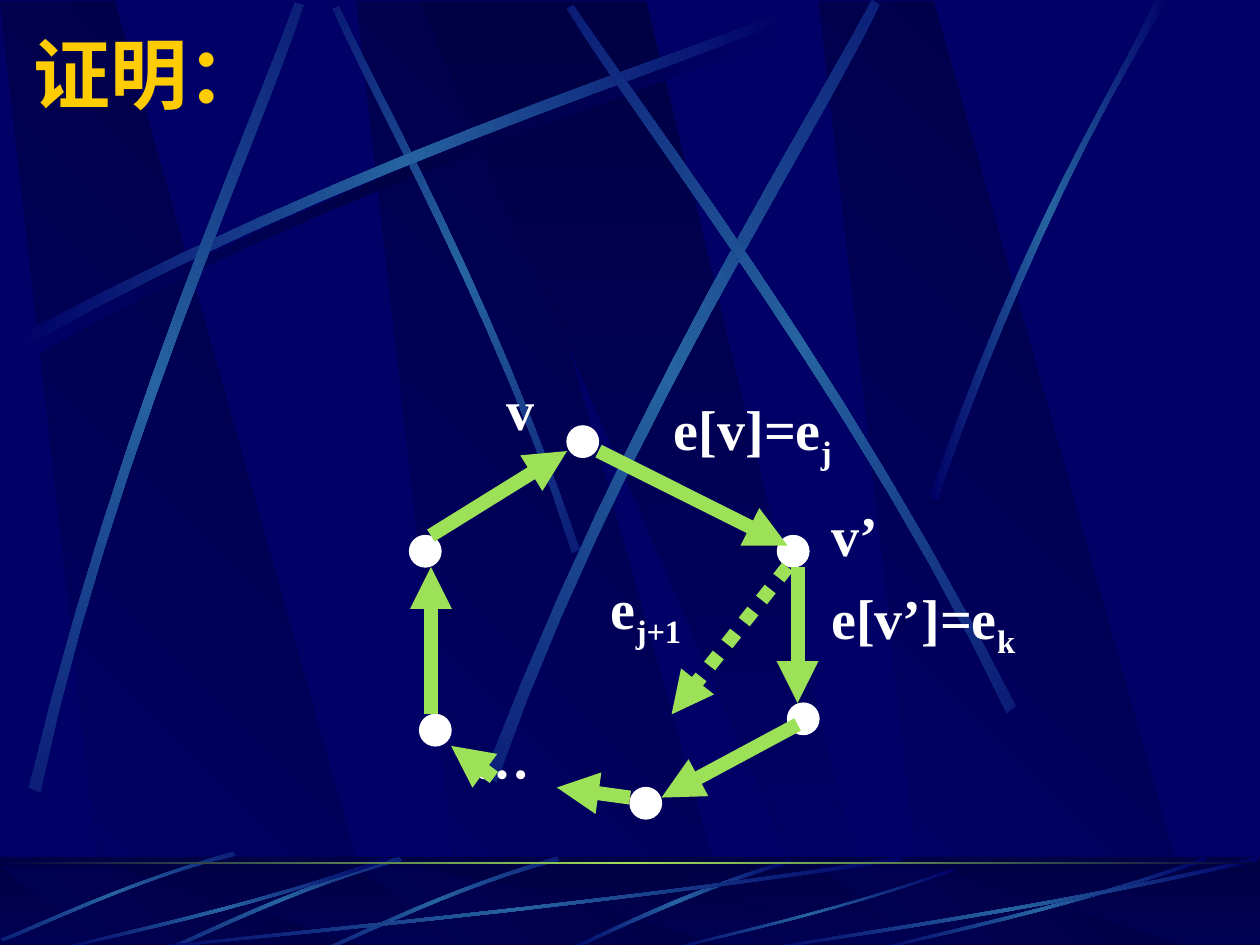
from math import cos, radians, sin
from lxml import etree
from pptx import Presentation
from pptx.dml.color import RGBColor as Rgb
from pptx.enum.dml import MSO_LINE as Dash
from pptx.enum.shapes import MSO_CONNECTOR as Connector, MSO_SHAPE as Preset
from pptx.enum.text import MSO_ANCHOR as Anchor, MSO_AUTO_SIZE as AutoSize
from pptx.oxml.ns import qn
from pptx.util import Pt

PX = 9144  # EMU in one px, 100 px to the inch
COLORS = {"night": "000066", "dark": "000044", "beam": "2663A0",
          "green": "9CE157", "gold": "FFCC00", "white": "FFFFFF"}
LATIN, CJK = "Times New Roman", "Noto Sans CJK SC"
BAND = ("dark", "night")
GLOW = ("night", "beam", "night")
SHADE = ("night", "dark", "night")

deck = Presentation()
deck.slide_width, deck.slide_height = 1000 * PX, 750 * PX
page = deck.slides.add_slide(deck.slide_layouts[6])
page.background.fill.solid()
page.background.fill.fore_color.rgb = Rgb.from_string(COLORS["night"])
shapes = page.shapes


def paint(shape, stops, angle):
    """Give a borderless shape a linear gradient of evenly spaced stops."""
    shape.shadow.inherit = False
    shape.line.fill.background()
    shape.fill.gradient()
    gradient = shape._element.spPr.find(qn("a:gradFill"))
    stop_list = gradient.find(qn("a:gsLst"))
    for old in list(stop_list):
        stop_list.remove(old)
    for i, name in enumerate(stops):
        stop = etree.SubElement(stop_list, qn("a:gs"), pos=str(100000 * i // (len(stops) - 1)))
        etree.SubElement(stop, qn("a:srgbClr"), val=COLORS[name])
    gradient.find(qn("a:lin")).set("ang", str(angle * 60000))


def add_outline(points, stops, angle, turn=0):
    """Draw a closed outline; turn rotates the shape so its gradient follows it."""
    c, s = cos(radians(turn)), sin(radians(turn))
    flat = [(round((x * c + y * s) * PX), round((y * c - x * s) * PX)) for x, y in points]
    builder = shapes.build_freeform(*flat[0], scale=1.0)
    builder.add_line_segments(flat[1:], close=True)
    shape = builder.convert_to_shape()
    mid_x, mid_y = shape.left + shape.width / 2, shape.top + shape.height / 2
    shape.left = round(mid_x * c - mid_y * s - shape.width / 2)
    shape.top = round(mid_x * s + mid_y * c - shape.height / 2)
    shape.rotation = turn
    paint(shape, stops, angle)


crossbeam = [(14, 267), (278, 125), (518, 51), (620, 10), (623, 16), (522, 61), (248, 143), (17, 277)]
sweep = [(442, 680), (355, 705), (287, 740), (256, 753), (257, 755), (288, 743), (365, 703), (444, 683)]
streak = [(308, 683), (193, 723), (88, 744), (43, 755), (42, 754), (86, 741), (206, 718), (307, 680)]

# Each beam: start, curve to the far end, across, curve back; then colours and turn
wall_beams = [
    ([(x + 6, y + 8) for x, y in crossbeam], SHADE, 0),
    ([(460, 436), (391, 234), (302, 77), (269, 5), (264, 7), (295, 79), (398, 258), (454, 439)], GLOW, 45),
    (crossbeam, GLOW, 0),
    ([(23, 625), (93, 334), (197, 105), (234, 2), (241, 4), (207, 109), (86, 368), (32, 629)], GLOW, 311.7),
    ([(385, 614), (498, 320), (638, 102), (692, 0), (698, 4), (649, 108), (486, 355), (394, 621)], GLOW, 321.6),
    ([(806, 560), (670, 293), (516, 95), (455, 4), (450, 7), (507, 101), (685, 325), (799, 566)], GLOW, 34.8),
    ([(738, 394), (814, 173), (888, 66), (917, 0), (927, 0), (836, 145), (769, 322), (744, 397)], GLOW, 0),
]
floor_beams = [
    ([(627, 682), (537, 709), (477, 742), (448, 754), (453, 755), (490, 737), (571, 700), (628, 685)], GLOW, 0),
    (sweep, GLOW, 314.9),
    ([(x - 125, y) for x, y in sweep], GLOW, 314.9),
    ([(185, 676), (99, 700), (32, 733), (1, 745), (2, 747), (33, 736), (109, 697), (187, 679)], GLOW, 314.9),
    ([(717, 683), (449, 723), (206, 744), (103, 755), (100, 754), (202, 741), (480, 718), (714, 680)], GLOW, 0),
    (streak, GLOW, 0),
    ([(758, 691), (658, 726), (567, 745), (528, 755), (527, 754), (565, 743), (669, 722), (757, 689)], GLOW, 0),
    ([(x + 650, y) for x, y in streak], GLOW, 0),
    ([(1000, 683), (827, 723), (669, 744), (602, 755), (600, 754), (666, 741), (846, 718), (998, 680)], GLOW, 0),
]

# Wall, then floor: broad bands with thin curved beams over them
for top, bottom, beams in [(1, 752, wall_beams), (688, 755, floor_beams)]:
    on_floor = beams is floor_beams
    if on_floor:
        floor = shapes.add_shape(Preset.RECTANGLE, 0, 680 * PX, 1000 * PX, 75 * PX)
        paint(floor, BAND, 90)
    for left in (283, 0, 650):
        add_outline([(left + 86, bottom), (left + 302, bottom), (left + 91, top), (left, top)], BAND, 135)
    add_outline([(333, top), (658, bottom), (694, bottom), (513, top)], BAND, 90)
    if on_floor:
        veil = shapes.add_shape(Preset.RECTANGLE, 0, 680 * PX, 1000 * PX, 75 * PX)
        veil.shadow.inherit = False
        veil.line.fill.background()
        veil.fill.solid()
        veil.fill.fore_color.rgb = Rgb.from_string(COLORS["dark"])
        etree.SubElement(next(veil._element.spPr.iter(qn("a:srgbClr"))), qn("a:alpha"), val="50000")
    for corners, stops, turn in beams:
        edge = []
        for a, b, c, d in (corners[:4], corners[4:]):
            for t in (i / 12 for i in range(13)):
                u = 1 - t
                edge.append(tuple(u**3 * a[k] + 3 * u * u * t * b[k] + 3 * u * t * t * c[k] + t**3 * d[k]
                                  for k in (0, 1)))
        add_outline(edge, stops, 180, turn)

horizon = shapes.add_shape(Preset.RECTANGLE, 0, 684 * PX, 1000 * PX, 2 * PX)
paint(horizon, ("dark", "green", "dark"), 180)

# Vertices of the cycle
for left, top in [(450, 338), (617, 425), (625, 558), (325, 425), (333, 567), (500, 625)]:
    vertex = shapes.add_shape(Preset.OVAL, left * PX, top * PX, 25 * PX, 25 * PX)
    vertex.shadow.inherit = False
    vertex.fill.solid()
    vertex.fill.fore_color.rgb = vertex.line.color.rgb = Rgb.from_string(COLORS["white"])
    vertex.line.width = Pt(0.75)

# Title and labels: place, wrap, size, colour, font, text, subscript
labels = [
    ((17, 16, 850, 84), True, 44, "gold", LATIN, "证明：", ""),
    ((367, 583, 64, 64), False, 32, "white", CJK, "…", ""),
    ((392, 292, 42, 64), False, 32, "white", LATIN, "v", ""),
    ((650, 392, 83, 64), True, 32, "white", LATIN, "v’", ""),
    ((525, 308, 158, 71), True, 32, "white", LATIN, "e[v]=e", "j"),
    ((650, 458, 183, 71), True, 32, "white", LATIN, "e[v’]=e", "k"),
    ((475, 450, 92, 71), True, 32, "white", LATIN, "e", "j+1"),
]
for place, wrap, size, color, face, text, subscript in labels:
    box = shapes.add_textbox(*(n * PX for n in place))
    frame = box.text_frame
    frame.word_wrap = wrap
    frame.auto_size = AutoSize.SHAPE_TO_FIT_TEXT
    frame.vertical_anchor = Anchor.MIDDLE if color == "gold" else Anchor.TOP
    para = frame.paragraphs[0]
    for part in filter(None, (text, subscript)):
        span = para.add_run()
        span.text = part
        span.font.size, span.font.bold, span.font.name = Pt(size), True, face
        span.font.color.rgb = Rgb.from_string(COLORS[color])
        etree.SubElement(span.font._element, qn("a:ea"), typeface=CJK)
        if part is subscript:
            span.font._element.set("baseline", "-25000")

# Directed edges
edges = [
    (475, 358, 625, 433), (633, 450, 633, 558), (625, 450, 533, 567), (633, 575, 525, 633),
    (500, 633, 442, 625), (392, 617, 358, 592), (342, 567, 342, 450), (342, 425, 450, 358),
]
for i, ends in enumerate(edges):
    arrow = shapes.add_connector(Connector.STRAIGHT, *(n * PX for n in ends))
    arrow.line.color.rgb = Rgb.from_string(COLORS["green"])
    arrow.line.width = Pt(8)
    if i == 2:
        arrow.line.dash_style = Dash.ROUND_DOT
    properties = arrow._element.spPr
    etree.SubElement(properties.find(qn("a:ln")), qn("a:tailEnd"), type="triangle")
    etree.SubElement(properties, qn("a:effectLst"))

deck.save("out.pptx")
